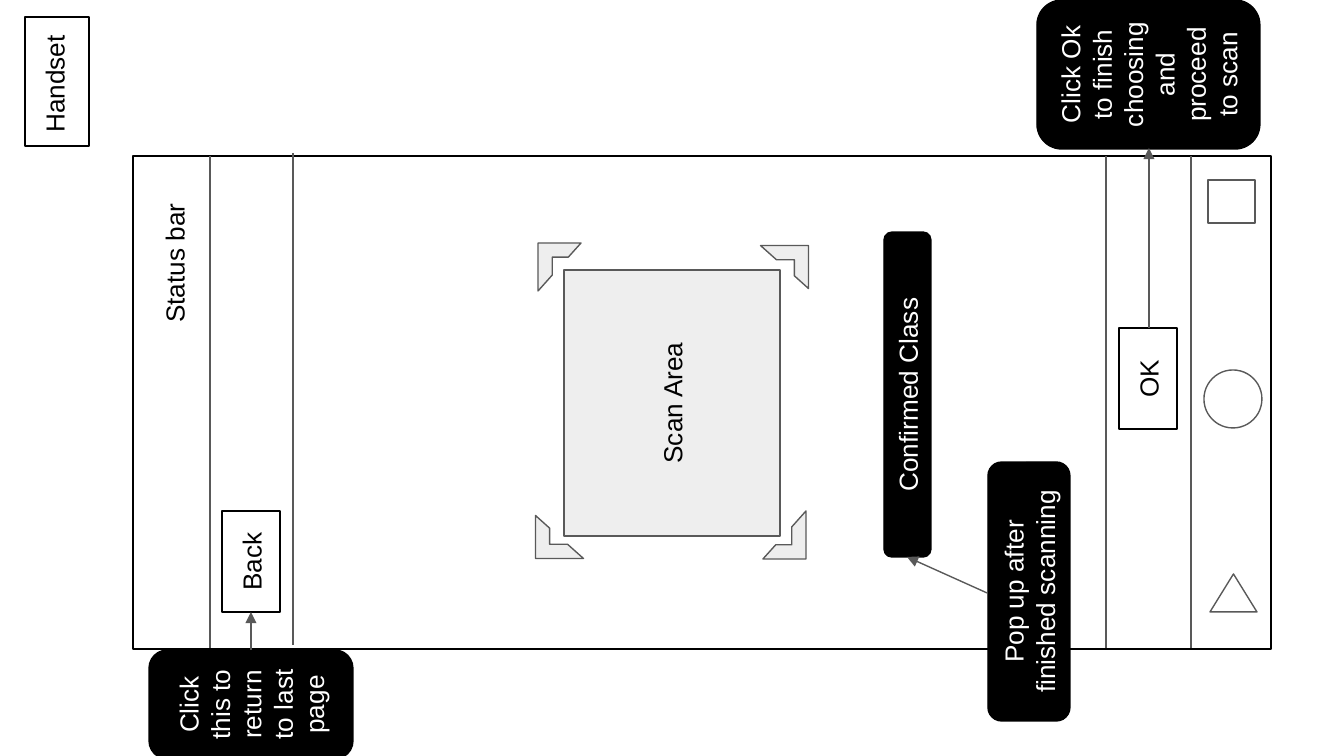
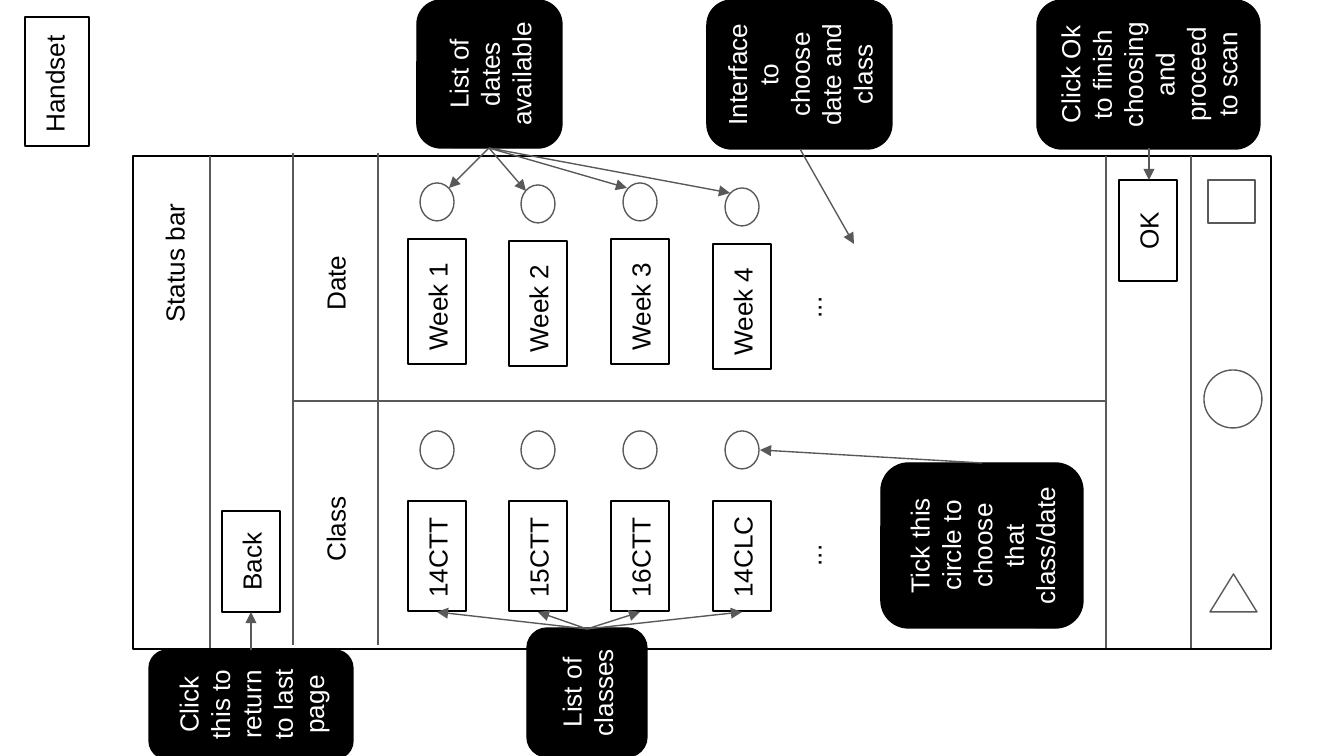
from dataclasses import dataclass
from lxml.etree import SubElement
from pptx import Presentation
from pptx.dml.color import RGBColor
from pptx.enum.shapes import MSO_CONNECTOR as Conn, MSO_SHAPE as Shp
from pptx.enum.text import MSO_ANCHOR as Anchor, PP_ALIGN as Al
from pptx.oxml.ns import qn
from pptx.util import Emu, Inches, Pt


@dataclass(frozen=True)
class Theme:
    ink: str = "000000"
    paper: str = "FFFFFF"
    rule: str = "595959"
    soft: str = "EEEEEE"
    font: str = "Arial"
    size: int = 14
    line: float = 0.75


T = Theme()
PX = Inches(1) / 134.4
INSET = Inches(0.1)

FRAME = (133, 156, 1138, 493)
FRAME_RULES = [(1191, 156, 648), (210, 156, 648), (293, 153, 645), (1106, 156, 648)]
NAV_ICONS = [
    (Shp.OVAL, (1204, 370, 58, 58)),
    (Shp.ISOSCELES_TRIANGLE, (1210, 574, 47, 38)),
    (Shp.RECTANGLE, (1208, 180, 47, 43)),
]
STATUS = ("Status bar", (145, 169, 55, 167))
PLATFORM = ("Handset", (25, 17, 64, 129))
BACK = ("Back", (222, 511, 58, 101))
SHARED_CALLOUTS = [
    ("Click Ok to finish choosing and proceed to scan", (1037, 0, 223, 149)),
    ("Click this to return to last page", (149, 650, 204, 109)),
]
BACK_ARROW = ((251, 650), (251, 612))

SCAN = {
    "ok": ("OK", (1119, 328, 58, 101)),
    "area": ("Scan Area", (564, 270, 216, 266)),
    "corners": [(538, 243, 0), (763, 243, 90), (763, 511, 180), (538, 513, 270)],
    "corner_size": (43, 48),
    "callouts": [
        ("Pop up after finished scanning", (988, 462, 82, 259)),
        ("Confirmed Class", (884, 232, 47, 325)),
    ],
    "arrows": [((987, 593), (907, 557)), ((1149, 328), (1149, 148))],
}

CHOOSE = {
    "ok": ("OK", (1119, 180, 58, 101)),
    "rules": [((293, 401), (1107, 401)), ((378, 153), (378, 645))],
    "labels": [("Class", (306, 474, 58, 101)), ("Date", (306, 223, 58, 101))],
    "dots": [("...", (782, 505, 58, 101)), ("...", (782, 257, 58, 101))],
    "columns": [437, 538, 640, 742],
    "lists": [
        (["14CTT", "15CTT", "16CTT", "14CLC"], 501, 110, 431, [0, 0, 0, 0]),
        (["Week 1", "Week 2", "Week 3", "Week 4"], 239, 125, 183, [0, 2, 0, 5]),
    ],
    "callouts": [
        ("Interface to choose date and class", (707, 0, 185, 149)),
        ("List of classes", (527, 628, 120, 129)),
        ("List of dates available", (417, 0, 145, 148)),
        ("Tick this circle to choose that class/date", (881, 463, 202, 165)),
    ],
    "arrows": [((800, 149), (854, 244)), ((1149, 148), (1149, 180)),
               ((982, 463), (760, 450))],
    "fans": [
        ((587, 629), [(437, 612), (538, 612), (640, 612), (742, 612)]),
        ((489, 148), [(449, 188), (526, 191), (627, 188), (730, 193)]),
    ],
}


def emu(*values):
    return [Emu(round(v * PX)) for v in values]


def shape(s, kind, box, fill=None, line=T.rule, rot=0):
    sp = s.shapes.add_shape(kind, *emu(*box))
    sp.shadow.inherit = False
    sp.rotation = rot
    if fill:
        sp.fill.solid()
        sp.fill.fore_color.rgb = RGBColor.from_string(fill)
    else:
        sp.fill.background()
    sp.line.color.rgb = RGBColor.from_string(line)
    sp.line.width = Pt(T.line)
    return sp


def upright(box):
    x, y, w, h = box
    return x + (w - h) / 2, y + (h - w) / 2, h, w


def write(sp, text, color=T.ink, align=Al.LEFT, anchor=Anchor.TOP):
    tf = sp.text_frame
    tf.word_wrap = True
    tf.vertical_anchor = anchor
    tf.margin_left = tf.margin_right = tf.margin_top = tf.margin_bottom = INSET
    p = tf.paragraphs[0]
    p.text = text
    p.alignment = align
    p.font.name = T.font
    p.font.size = Pt(T.size)
    p.font.color.rgb = RGBColor.from_string(color)


def label(s, text, box, align=Al.LEFT):
    sp = s.shapes.add_textbox(*emu(*upright(box)))
    sp.rotation = 270
    write(sp, text, align=align)


def button(s, text, box, align=Al.CENTER):
    write(shape(s, Shp.RECTANGLE, upright(box), line=T.ink, rot=270), text, align=align)


def callout(s, text, box):
    sp = shape(s, Shp.ROUNDED_RECTANGLE, upright(box), T.ink, T.ink, 270)
    write(sp, text, T.paper, Al.CENTER, Anchor.MIDDLE)


def rule(s, start, end, arrow=False):
    c = s.shapes.add_connector(Conn.STRAIGHT, *emu(*start, *end))
    c.line.color.rgb = RGBColor.from_string(T.rule)
    c.line.width = Pt(T.line)
    if arrow:
        SubElement(c.line._get_or_add_ln(), qn("a:tailEnd"), type="triangle")
    SubElement(c._element.spPr, qn("a:effectLst"))


def phone(prs, page):
    s = prs.slides.add_slide(prs.slide_layouts[6])
    shape(s, Shp.RECTANGLE, FRAME, T.paper, T.ink)
    for x, top, bottom in FRAME_RULES:
        rule(s, (x, top), (x, bottom))
    for kind, box in NAV_ICONS:
        shape(s, kind, box, T.paper)
    label(s, *STATUS)
    button(s, *PLATFORM, Al.LEFT)
    button(s, *BACK)
    button(s, *page["ok"])
    return s


def annotate(s, page):
    for text, box in SHARED_CALLOUTS + page["callouts"]:
        callout(s, text, box)
    fans = [(a, b) for a, ends in page.get("fans", []) for b in ends]
    for start, end in [BACK_ARROW] + page["arrows"] + fans:
        rule(s, start, end, True)


def scan_slide(prs):
    s = phone(prs, SCAN)
    text, box = SCAN["area"]
    sp = shape(s, Shp.RECTANGLE, upright(box), T.soft, rot=270)
    write(sp, text, align=Al.CENTER, anchor=Anchor.MIDDLE)
    for x, y, rot in SCAN["corners"]:
        corner = shape(s, Shp.HALF_FRAME, (x, y, *SCAN["corner_size"]), T.soft, rot=rot)
        corner.adjustments[0] = corner.adjustments[1] = 0.33
    annotate(s, SCAN)


def choose_slide(prs):
    s = phone(prs, CHOOSE)
    for start, end in CHOOSE["rules"]:
        rule(s, start, end)
    for text, box in CHOOSE["labels"]:
        label(s, text, box)
    for text, box in CHOOSE["dots"]:
        label(s, text, box, Al.CENTER)
    for names, top, length, circle_top, shifts in CHOOSE["lists"]:
        for name, x, dy in zip(names, CHOOSE["columns"], shifts):
            button(s, name, (x - 29, top + dy, 58, length), Al.LEFT)
            shape(s, Shp.OVAL, (x - 17, circle_top + dy, 34, 38), T.paper)
    annotate(s, CHOOSE)


prs = Presentation()
prs.slide_width, prs.slide_height = emu(1344, 756)
scan_slide(prs)
choose_slide(prs)
prs.save("out.pptx")
